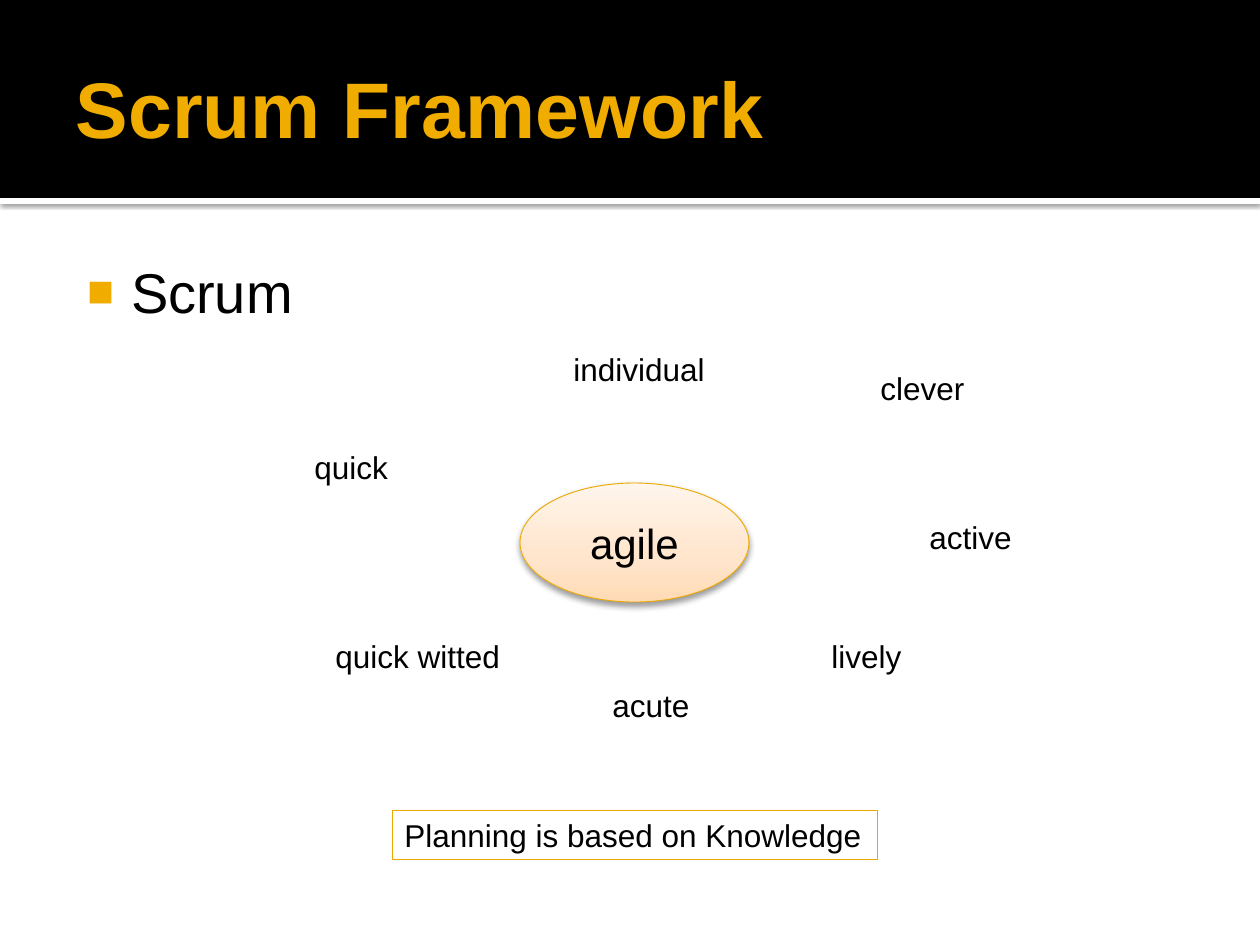
"""Build the Scrum Framework slide: words that surround the idea of agile."""
from dataclasses import dataclass

from lxml.etree import SubElement
from pptx import Presentation
from pptx.dml.color import RGBColor
from pptx.enum.shapes import MSO_SHAPE as Shape
from pptx.enum.text import MSO_ANCHOR as Anchor, MSO_AUTO_SIZE as AutoSize, PP_ALIGN as Align
from pptx.oxml import parse_xml
from pptx.oxml.ns import nsdecls, qn
from pptx.util import Pt

TITLE = "Scrum Framework"
TOPIC = "Scrum"
CORE = ("agile", (520, 483, 229, 119))
SYNONYMS = [
    ("quick", (302, 442, 100, 50)),
    ("individual", (561, 344, 157, 50)),
    ("active", (917, 512, 108, 50)),
    ("lively", (819, 631, 96, 50)),
    ("quick witted", (323, 631, 191, 50)),
    ("acute", (600, 680, 103, 50)),
    ("clever", (868, 363, 111, 50)),
]
CONCLUSION = ("Planning is based on Knowledge", (392, 810, 486, 50))
STRIPE = (0, 198, 1260, 6)
BANNER = (0, 0, 1260, 198)
TITLE_AREA = (63, 21, 1134, 173)
TOPIC_AREA = (63, 244, 1134, 638)


@dataclass(frozen=True)
class Theme:
    font: str = "Arial"
    ink: str = "000000"
    paper: str = "FFFFFF"
    accent: str = "F0AD00"
    outline: str = "EBA900"
    glow: tuple = ((0, "FFDBB5"), (35, "FFE5CB"), (100, "FFF5EB"))
    title_size: int = 45
    topic_size: int = 32
    core_size: int = 24
    word_size: int = 18
    line_width: float = 0.5


THEME = Theme()


def px(length):
    return round(length * 914400 / 126)


def place(part, area):
    part.left, part.top, part.width, part.height = map(px, area)


def write(frame, text, size, color=THEME.ink, bold=False, align=Align.LEFT):
    paragraph = frame.paragraphs[0]
    paragraph.alignment = align
    paragraph.space_before = Pt(0)
    run = paragraph.add_run()
    run.text = text
    font = run.font
    font.name, font.size, font.bold = THEME.font, Pt(size), bold
    font.color.rgb = RGBColor.from_string(color)
    return paragraph


def outline(part):
    part.line.color.rgb = RGBColor.from_string(THEME.outline)
    part.line.width = Pt(THEME.line_width)


def cast_shadow(part, opacity, blur, distance):
    effects = part._element.spPr.find(qn("a:effectLst"))
    shadow = SubElement(effects, qn("a:outerShdw"), blurRad=str(Pt(blur)),
                        dist=str(Pt(distance)), dir="5400000", rotWithShape="0")
    color = SubElement(shadow, qn("a:srgbClr"), val=THEME.ink)
    SubElement(color, qn("a:alpha"), val=str(opacity * 1000))


def add_band(slide, area, color, depth):
    band = slide.shapes.add_shape(Shape.RECTANGLE, *map(px, area))
    band.shadow.inherit = False
    band.fill.solid()
    band.fill.fore_color.rgb = RGBColor.from_string(color)
    band.line.fill.background()
    slide.shapes._spTree.insert(2 + depth, band._element)
    return band


def add_title(slide):
    title = slide.shapes.title
    place(title, TITLE_AREA)
    frame = title.text_frame
    frame.auto_size = AutoSize.NONE
    frame.vertical_anchor = Anchor.MIDDLE
    frame.margin_left, frame.margin_right = px(13), px(6)
    write(frame, TITLE, THEME.title_size, THEME.accent, bold=True)


def add_topic(slide):
    body = slide.placeholders[1]
    place(body, TOPIC_AREA)
    frame = body.text_frame
    frame.auto_size = AutoSize.NONE
    frame.margin_left, frame.margin_top = px(8), px(13)
    properties = frame.paragraphs[0]._p.get_or_add_pPr()
    properties.set("marL", str(px(60)))
    properties.set("indent", str(px(-44)))
    bullet_color = SubElement(properties, qn("a:buClr"))
    SubElement(bullet_color, qn("a:srgbClr"), val=THEME.accent)
    SubElement(properties, qn("a:buSzPct"), val="80000")
    SubElement(properties, qn("a:buFont"), typeface=THEME.font)
    SubElement(properties, qn("a:buChar"), char="■")
    write(frame, TOPIC, THEME.topic_size)


def add_core(slide):
    text, area = CORE
    core = slide.shapes.add_shape(Shape.OVAL, *map(px, area))
    core.shadow.inherit = False
    stops = "".join(f'<a:gs pos="{at * 1000}"><a:srgbClr val="{color}"/></a:gs>'
                    for at, color in THEME.glow)
    core._element.spPr.find(qn("a:prstGeom")).addnext(parse_xml(
        f'<a:gradFill {nsdecls("a")} rotWithShape="1"><a:gsLst>{stops}</a:gsLst>'
        '<a:lin ang="16200000" scaled="0"/></a:gradFill>'))
    outline(core)
    cast_shadow(core, 38, 3.5, 2)
    core.text_frame.vertical_anchor = Anchor.MIDDLE
    write(core.text_frame, text, THEME.core_size, align=Align.CENTER)


def add_word(slide, text, area):
    label = slide.shapes.add_textbox(*map(px, area))
    label.text_frame.word_wrap = False
    label.text_frame.auto_size = AutoSize.SHAPE_TO_FIT_TEXT
    write(label.text_frame, text, THEME.word_size)
    return label


def main():
    deck = Presentation()
    deck.slide_width, deck.slide_height = px(1260), px(945)
    slide = deck.slides.add_slide(deck.slide_layouts[1])
    cast_shadow(add_band(slide, STRIPE, THEME.paper, 0), 60, 2.5, 0.8)
    add_band(slide, BANNER, THEME.ink, 1)
    add_title(slide)
    add_topic(slide)
    add_core(slide)
    for text, area in SYNONYMS:
        add_word(slide, text, area)
    outline(add_word(slide, *CONCLUSION))
    deck.save("out.pptx")


if __name__ == "__main__":
    main()
